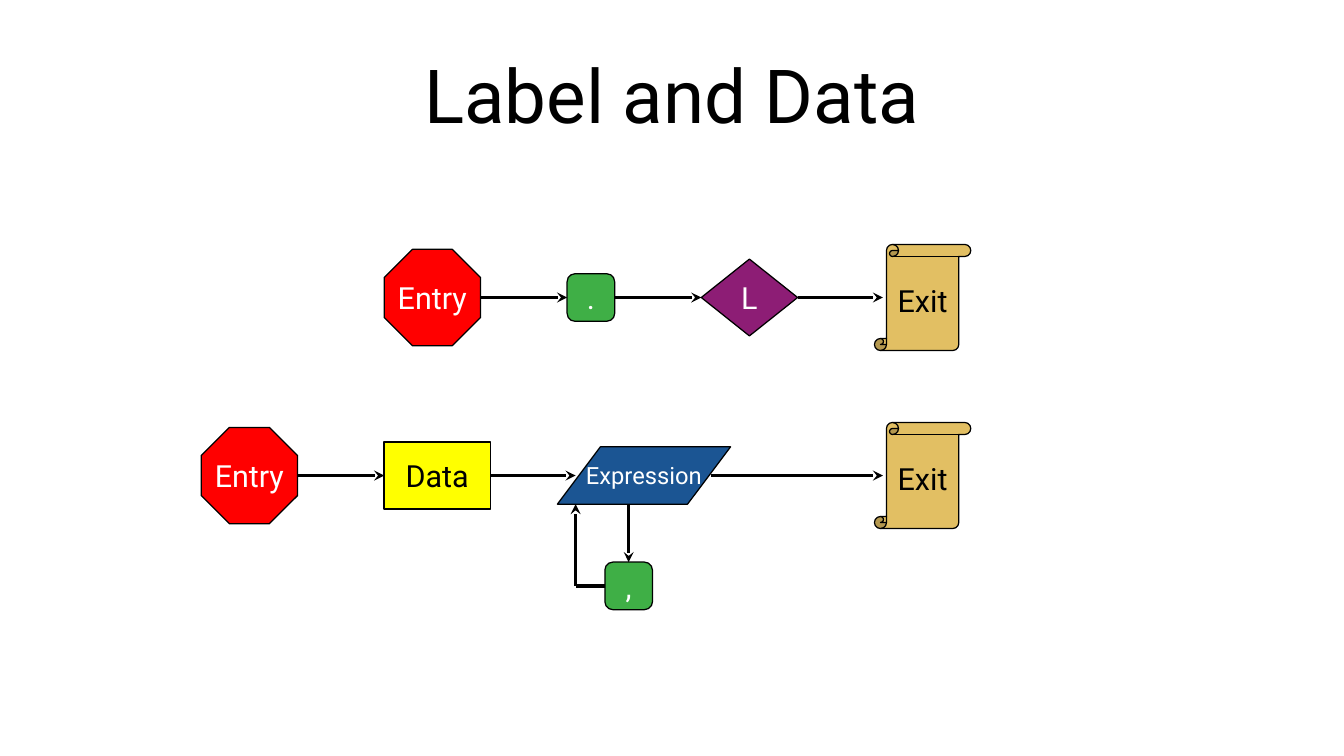
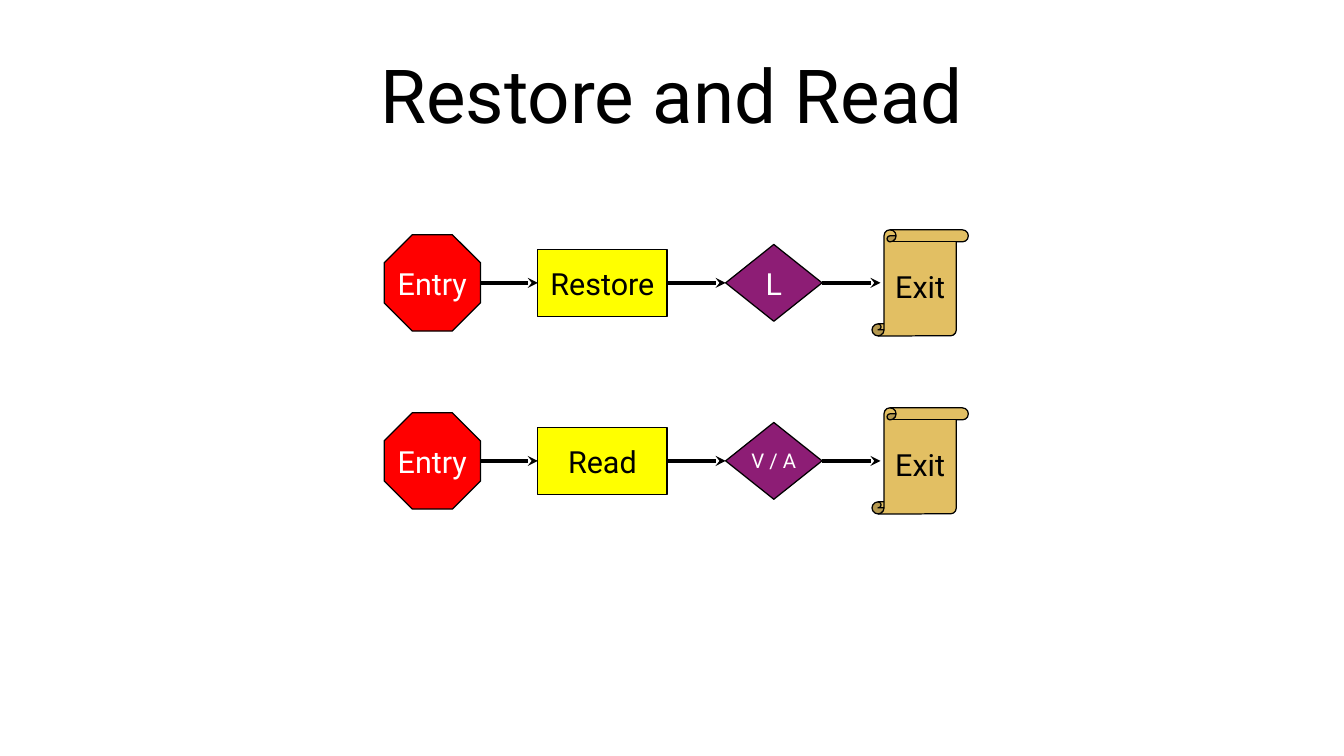
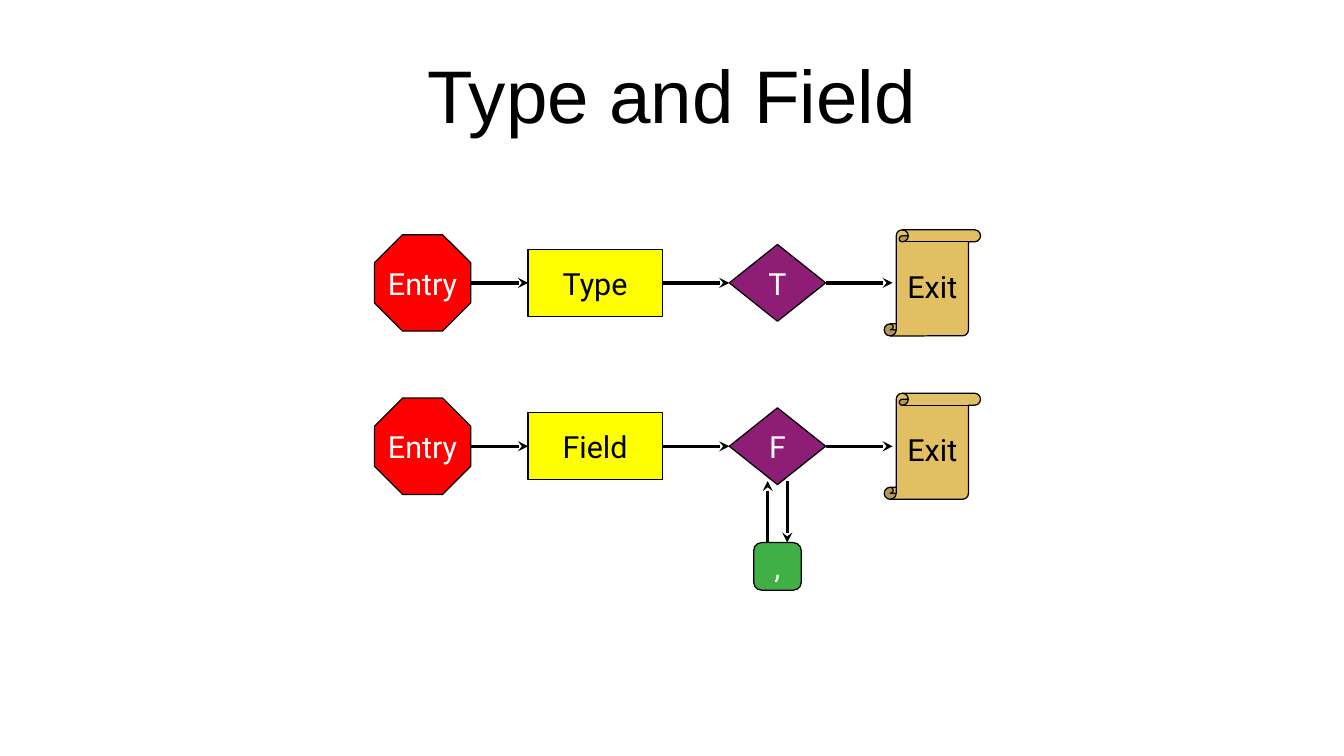
from dataclasses import dataclass

from lxml import etree
from pptx import Presentation
from pptx.dml.color import RGBColor
from pptx.enum.shapes import MSO_CONNECTOR, MSO_SHAPE
from pptx.enum.text import MSO_ANCHOR, PP_ALIGN
from pptx.oxml.ns import qn
from pptx.util import Inches, Pt

STRAIGHT = MSO_CONNECTOR.STRAIGHT
MIDDLE = MSO_ANCHOR.MIDDLE
CENTER = PP_ALIGN.CENTER

BLACK = RGBColor(0x00, 0x00, 0x00)
WHITE = RGBColor(0xFF, 0xFF, 0xFF)
RED = RGBColor(0xFF, 0x00, 0x00)
YELLOW = RGBColor(0xFF, 0xFF, 0x00)
GREEN = RGBColor(0x3F, 0xAF, 0x46)
PURPLE = RGBColor(0x8D, 0x1D, 0x75)
BLUE = RGBColor(0x1B, 0x55, 0x93)
TAN = RGBColor(0xE2, 0xBF, 0x63)

BODY_FONT = "Roboto"
TITLE_BOX = (0.55, 0.25, 9.92, 1.04)
TITLE_SIZE = 44
HAIRLINE = Pt(0)


@dataclass(frozen=True)
class Kind:
    """Look of a node; docks are the insets where arrows meet its sides."""
    preset: int
    width: float
    height: float
    fill: RGBColor
    ink: RGBColor = WHITE
    size: int = 18
    adjust: float | None = None
    dock_left: float = 0
    dock_right: float = 0


@dataclass(frozen=True)
class Box:
    left: float
    top: float
    width: float
    height: float

    @property
    def center(self):
        return self.left + self.width / 2

    @property
    def middle(self):
        return self.top + self.height / 2

    @property
    def bottom(self):
        return self.top + self.height


def keyword(width):
    return Kind(MSO_SHAPE.RECTANGLE, width, 0.55, YELLOW, BLACK)


def name(size=18):
    return Kind(MSO_SHAPE.DIAMOND, 0.79, 0.63, PURPLE, size=size)


ENTRY = Kind(MSO_SHAPE.OCTAGON, 0.79, 0.79, RED)
EXIT = Kind(MSO_SHAPE.VERTICAL_SCROLL, 0.79, 0.87, TAN, BLACK, dock_left=0.07)
SYMBOL = Kind(MSO_SHAPE.ROUNDED_RECTANGLE, 0.39, 0.39, GREEN)
EXPRESSION = Kind(MSO_SHAPE.PARALLELOGRAM, 1.42, 0.47, BLUE, size=14,
                  adjust=0.75, dock_left=0.15, dock_right=0.16)


def write(frame, text, **font_values):
    frame.vertical_anchor = MIDDLE
    paragraph = frame.paragraphs[0]
    paragraph.alignment = CENTER
    run = paragraph.add_run()
    run.text = text
    run.font.color.rgb = font_values.pop("ink")
    for attribute, value in font_values.items():
        setattr(run.font, attribute, value)


def add_title(slide, text, font):
    frame = slide.shapes.add_textbox(*map(Inches, TITLE_BOX)).text_frame
    frame.word_wrap = True
    for side in ("left", "top", "right", "bottom"):
        setattr(frame, f"margin_{side}", 0)
    write(frame, text, ink=BLACK, name=font, size=Pt(TITLE_SIZE))


def add_node(slide, kind, text, left, middle):
    box = Box(left, middle - kind.height / 2, kind.width, kind.height)
    node = slide.shapes.add_shape(
        kind.preset, *map(Inches, (box.left, box.top, box.width, box.height)))
    node.shadow.inherit = False
    node.fill.solid()
    node.fill.fore_color.rgb = kind.fill
    node.line.color.rgb = BLACK
    node.line.width = HAIRLINE
    if kind.adjust is not None:
        node.adjustments[0] = kind.adjust
    node.text_frame.word_wrap = False
    write(node.text_frame, text, ink=kind.ink, name=BODY_FONT, size=Pt(kind.size))
    return box


def add_line(slide, x1, y1, x2, y2, arrow=True):
    line = slide.shapes.add_connector(STRAIGHT, *map(Inches, (x1, y1, x2, y2)))
    line.line.color.rgb = BLACK
    line.line.width = HAIRLINE
    properties = line._element.spPr
    if arrow:
        etree.SubElement(properties.find(qn("a:ln")), qn("a:tailEnd"), type="stealth")
    etree.SubElement(properties, qn("a:effectLst"))


def add_flow(slide, left, middle, steps, gaps):
    """Lay out Entry, the steps and Exit from left to right, joined by arrows."""
    nodes = [(ENTRY, "Entry"), *steps, (EXIT, "Exit")]
    boxes = []
    dock = left
    for (kind, text), gap in zip(nodes, (0, *gaps)):
        if gap:
            add_line(slide, dock, middle, dock + gap, middle)
        boxes.append(add_node(slide, kind, text, dock + gap - kind.dock_left, middle))
        dock = boxes[-1].left + kind.width - kind.dock_right
    return boxes


def add_side_loop(slide, box):
    """Comma under the expression, returning to its left dock."""
    comma = add_node(slide, SYMBOL, ",", box.center - 0.32, box.bottom + 0.67)
    back = box.left + EXPRESSION.dock_left
    add_line(slide, comma.center, box.bottom, comma.center, comma.top)
    add_line(slide, comma.left, comma.middle, back, comma.middle, arrow=False)
    add_line(slide, back, comma.middle, back, box.bottom)


def add_straight_loop(slide, box):
    """Comma under the diamond, with one arrow down and one up."""
    comma = add_node(slide, SYMBOL, ",", box.center - SYMBOL.width / 2, box.bottom + 0.67)
    edge = box.bottom - 0.03
    add_line(slide, box.center + 0.08, edge, box.center + 0.08, comma.top)
    add_line(slide, box.center - 0.08, comma.top, box.center - 0.08, edge)


def new_slide(deck, title, font=BODY_FONT):
    slide = deck.slides.add_slide(deck.slide_layouts[6])
    add_title(slide, title, font)
    return slide


def label_and_data(deck):
    slide = new_slide(deck, "Label and Data")
    add_flow(slide, 3.15, 2.44, [(SYMBOL, "."), (name(), "L")], (0.71, 0.71, 0.7))
    boxes = add_flow(slide, 1.65, 3.9,
                     [(keyword(0.87), "Data"), (EXPRESSION, "Expression")],
                     (0.71, 0.7, 1.41))
    add_side_loop(slide, boxes[2])


def restore_and_read(deck):
    slide = new_slide(deck, "Restore and Read")
    for middle, word, operand, size in ((2.32, "Restore", "L", 18),
                                        (3.78, "Read", "V / A", 12)):
        add_flow(slide, 3.15, middle,
                 [(keyword(1.06), word), (name(size), operand)], (0.47, 0.48, 0.48))


def type_and_field(deck):
    slide = new_slide(deck, "Type and Field", "Arial")
    for middle, word, operand in ((2.32, "Type", "T"), (3.66, "Field", "F")):
        boxes = add_flow(slide, 3.07, middle,
                         [(keyword(1.1), word), (name(), operand)], (0.47, 0.55, 0.55))
    add_straight_loop(slide, boxes[2])


def main():
    deck = Presentation()
    deck.slide_width = Inches(11.02)
    deck.slide_height = Inches(6.2)
    for build in (label_and_data, restore_and_read, type_and_field):
        build(deck)
    deck.save("out.pptx")


if __name__ == "__main__":
    main()
